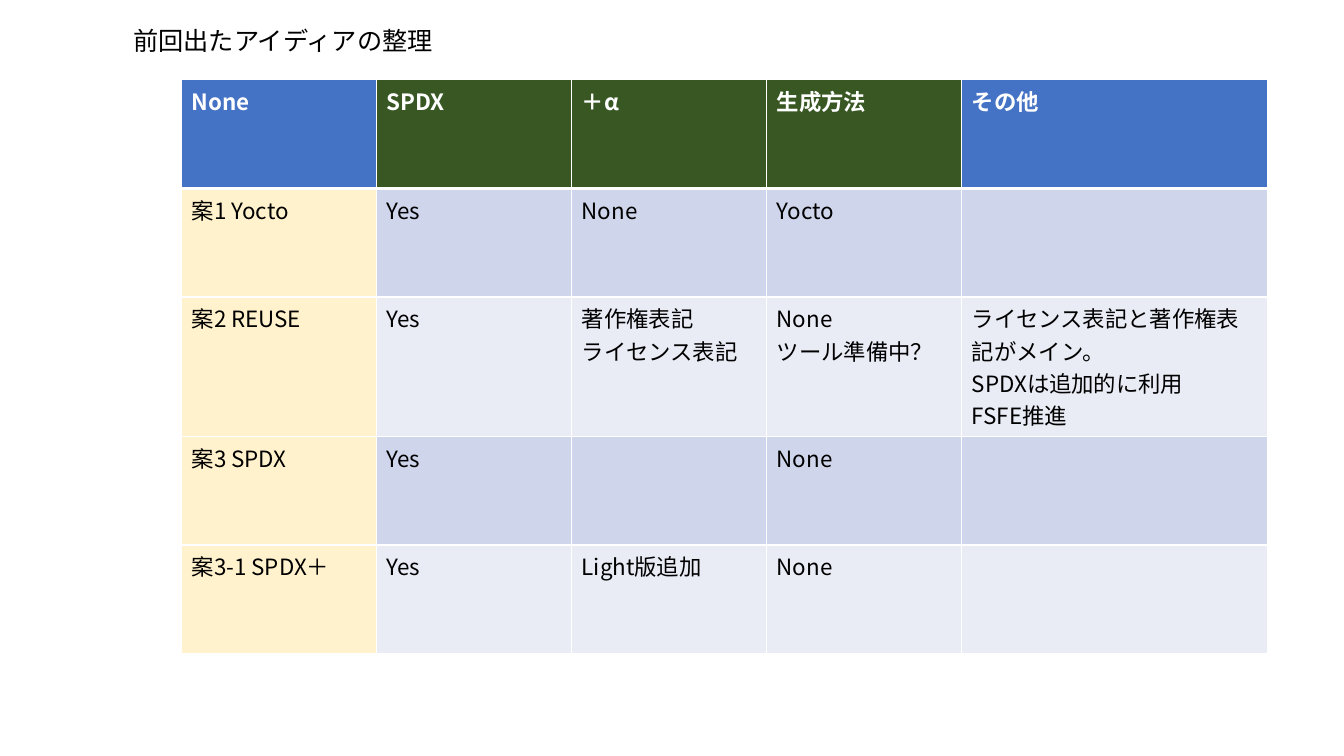
from lxml import etree
from pptx import Presentation
from pptx import util as u
from pptx.dml.color import RGBColor
from pptx.enum import text
from pptx.oxml import ns

FONT = "Noto Sans CJK JP"
HUES = {"white": "FFFFFF", "black": "000000", "blue": "4472C4",
        "green": "385723", "cream": "FFF2CC", "dark": "CFD5EA",
        "light": "E9EBF5"}
HEAD = ["None", "SPDX", "＋α", "生成方法", "その他"]
IDEAS = [
    ["案1 Yocto", "Yes", "None", "Yocto", ""],
    ["案2 REUSE", "Yes", "著作権表記\nライセンス表記", "None\nツール準備中？",
     "ライセンス表記と著作権表記がメイン。\nSPDXは追加的に利用\nFSFE推進"],
    ["案3 SPDX", "Yes", "", "None", ""],
    ["案3-1 SPDX＋", "Yes", "Light版追加", "None", ""],
]
WIDTHS = [139.3] * 4 + [218.2]
HEIGHTS = [77.6, 77.6, 99.6, 77.6, 77.6]


def style(frame, size, hue, bold=False):
    for para in frame.paragraphs:
        para.alignment = text.PP_ALIGN.LEFT
        para.font.size = u.Pt(size)
        for run in para.runs:
            font = run.font
            font.size, font.bold, font.name = u.Pt(size), bold, FONT
            font.color.rgb = RGBColor.from_string(HUES[hue])
            # East Asian letters need their own font entry
            east = etree.SubElement(run._r.get_or_add_rPr(), ns.qn("a:ea"))
            east.set("typeface", FONT)


def edge(cell, base):
    """White rules on all four sides, with base and top widths in points."""
    props = cell._tc.get_or_add_tcPr()
    top, low = base
    for i, (side, wide) in enumerate(zip("LRTB", (1, 1, top, low))):
        line = etree.Element(ns.qn("a:ln" + side), w=str(u.Pt(wide)))
        fill = etree.SubElement(line, ns.qn("a:solidFill"))
        etree.SubElement(fill, ns.qn("a:srgbClr"), val=HUES["white"])
        props.insert(i, line)


def shade(row, col):
    if row == 0:
        return "green" if 1 <= col <= 3 else "blue"
    if col == 0:
        return "cream"
    return "dark" if row % 2 else "light"


def add_title(slide, left, top, width, height):
    title = slide.shapes.title
    title.left, title.top = u.Pt(left), u.Pt(top)
    title.width, title.height = u.Pt(width), u.Pt(height)
    frame = title.text_frame
    frame.text = "前回出たアイディアの整理"
    frame.word_wrap = False
    frame.auto_size = text.MSO_AUTO_SIZE.NONE
    frame.vertical_anchor = text.MSO_ANCHOR.MIDDLE
    style(frame, 18, "black")


def add_grid(slide, left, top):
    rows = [HEAD] + IDEAS
    grid = slide.shapes.add_table(
        len(rows), len(HEAD), u.Pt(left), u.Pt(top),
        u.Pt(sum(WIDTHS)), u.Pt(sum(HEIGHTS))).table
    for col, width in zip(grid.columns, WIDTHS):
        col.width = u.Pt(width)
    for r, words in enumerate(rows):
        grid.rows[r].height = u.Pt(HEIGHTS[r])
        for c, word in enumerate(words):
            cell = grid.cell(r, c)
            cell.text_frame.text = word
            style(cell.text_frame, 16, "black" if r else "white", r == 0)
            cell.fill.solid()
            cell.fill.fore_color.rgb = RGBColor.from_string(HUES[shade(r, c)])
            # A thick rule parts the header from the ideas
            edge(cell, (3 if r == 1 else 1, 1 if r else 3))


def main():
    deck = Presentation()
    deck.slide_width, deck.slide_height = u.Pt(960), u.Pt(540)
    slide = deck.slides.add_slide(deck.slide_layouts[5])
    add_title(slide, 88, 14.4, 232.6, 28.8)
    add_grid(slide, 129.8, 57)
    deck.save("out.pptx")


if __name__ == "__main__":
    main()
